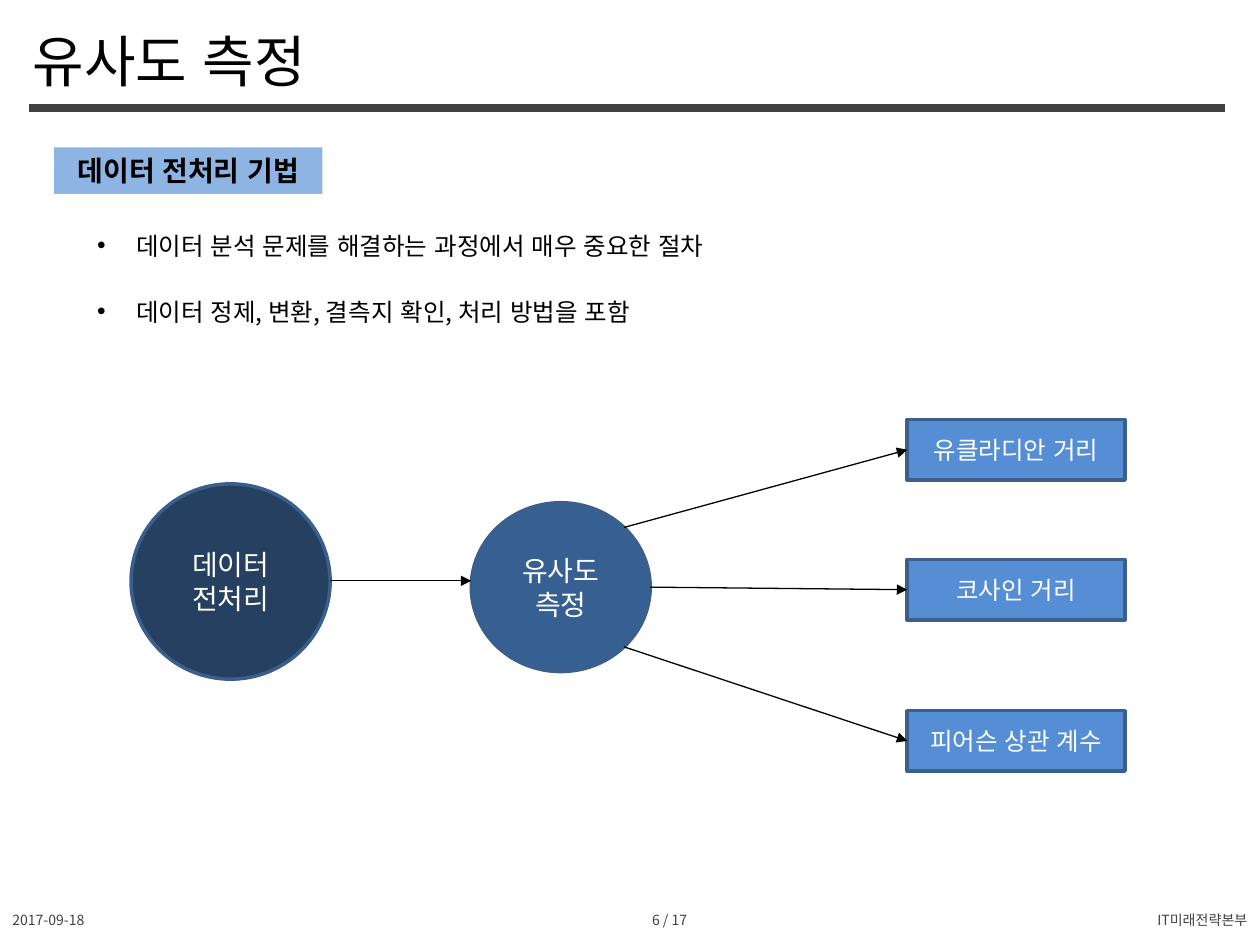
import math

import pptx
import pptx.dml.color
import pptx.enum.lang
import pptx.enum.shapes
import pptx.enum.text
import pptx.util
from lxml import etree
import pptx.oxml.ns

RGBColor = pptx.dml.color.RGBColor
Pt = pptx.util.Pt
MSO_SHAPE = pptx.enum.shapes.MSO_SHAPE
PP_ALIGN = pptx.enum.text.PP_ALIGN
MSO_ANCHOR = pptx.enum.text.MSO_ANCHOR
qn = pptx.oxml.ns.qn

FONT = "Noto Sans CJK KR"
BLACK = RGBColor(0x00, 0x00, 0x00)
WHITE = RGBColor(0xFF, 0xFF, 0xFF)
GRAY = RGBColor(0x40, 0x40, 0x40)
LIGHT_BLUE = RGBColor(0x8E, 0xB4, 0xE3)
BLUE = RGBColor(0x55, 0x8E, 0xD5)
MID_BLUE = RGBColor(0x37, 0x60, 0x92)
NAVY = RGBColor(0x25, 0x40, 0x61)
OUTLINE = RGBColor(0x3A, 0x5F, 0x8C)

EMU_PER_PX = 9144  # 100 px to the inch


def px(n):
    return pptx.util.Emu(round(n * EMU_PER_PX))


def place(sp, box):
    sp.left, sp.top, sp.width, sp.height = (px(n) for n in box)


def write(p, text, size, color, align=PP_ALIGN.LEFT, bold=False):
    p.alignment = align
    r = p.add_run()
    r.text = text
    font = r.font
    font.size = Pt(size)
    font.bold = bold
    font.color.rgb = color
    font.name = FONT
    font.language_id = pptx.enum.lang.MSO_LANGUAGE_ID.KOREAN
    etree.SubElement(r._r.rPr, qn("a:ea")).set("typeface", FONT)


def set_frame(tf, anchor):
    tf.word_wrap = True
    tf.auto_size = pptx.enum.text.MSO_AUTO_SIZE.NONE
    tf.vertical_anchor = anchor


def add_node(s, shape, box, text, size, fill, color=WHITE, line=OUTLINE, bold=False):
    sp = s.shapes.add_shape(shape, *(px(n) for n in box))
    sp.shadow.inherit = False
    sp.fill.solid()
    sp.fill.fore_color.rgb = fill
    if line is None:
        sp.line.fill.background()
    else:
        sp.line.color.rgb = line
        sp.line.width = Pt(2)
    set_frame(sp.text_frame, MSO_ANCHOR.MIDDLE)
    write(sp.text_frame.paragraphs[0], text, size, color, PP_ALIGN.CENTER, bold)
    return sp


def add_line(s, start, end, color, width, arrow=False):
    cx = s.shapes.add_connector(
        pptx.enum.shapes.MSO_CONNECTOR.STRAIGHT, *(px(n) for n in (*start, *end)))
    cx.line.color.rgb = color
    cx.line.width = Pt(width)
    if arrow:
        etree.SubElement(cx.line._get_or_add_ln(), qn("a:tailEnd")).set("type", "triangle")
    etree.SubElement(cx._element.spPr, qn("a:effectLst"))
    return cx


def build_header(s, box):
    x, y, w, h = box
    title = s.shapes.title
    place(title, (x - 7, y, 492, 64))
    set_frame(title.text_frame, MSO_ANCHOR.TOP)
    write(title.text_frame.paragraphs[0], "유사도 측정", 32, BLACK)
    add_line(s, (x, y + h), (x + w, y + h), GRAY, 4.5)


def build_summary(s, box):
    x, y, w, h = box
    # Section label
    add_node(s, MSO_SHAPE.RECTANGLE, (x, y, 213, 37), "데이터 전처리 기법", 16,
             LIGHT_BLUE, BLACK, None, True)
    # Bullet list
    body = s.placeholders[1]
    place(body, (x + 24, y + 61, w - 24, h - 61))
    tf = body.text_frame
    set_frame(tf, MSO_ANCHOR.TOP)
    bullets = ["데이터 분석 문제를 해결하는 과정에서 매우 중요한 절차",
               "데이터 정제, 변환, 결측지 확인, 처리 방법을 포함"]
    for i, text in enumerate(bullets):
        p = tf.add_paragraph() if i else tf.paragraphs[0]
        pPr = p._p.get_or_add_pPr()
        pPr.set("marL", str(px(31)))
        pPr.set("indent", str(px(-31)))
        etree.SubElement(pPr, qn("a:buFont")).set("typeface", "Arial")
        etree.SubElement(pPr, qn("a:buChar")).set("char", "•")
        p.space_before = Pt(21 if i else 0)
        write(p, text, 14, BLACK)


def build_diagram(s, box):
    x, y, w, h = box
    # Circles
    add_node(s, MSO_SHAPE.OVAL, (x, y + 51, 158, 155), "데이터 전처리", 16, NAVY)
    left, top, cw, ch = x + 270, y + 66, 142, 134
    add_node(s, MSO_SHAPE.OVAL, (left, top, cw, ch), "유사도 측정", 16, MID_BLUE)
    add_line(s, (x + 158, y + 128), (left, y + 128), BLACK, 0.75, True)

    # Measures, each reached from the right half of the second circle
    measures = [("유클라디안 거리", 0, -45), ("코사인 거리", 111, 0),
                ("피어슨 상관 계수", 231, 45)]
    for text, dy, angle in measures:
        a = math.radians(angle)
        start = (left + cw / 2 * (1 + math.cos(a)), top + ch / 2 * (1 + math.sin(a)))
        rect = (x + w - 173, y + dy, 173, 48)
        sp = add_node(s, MSO_SHAPE.RECTANGLE, rect, text, 14, BLUE)
        cx = add_line(s, start, (rect[0], rect[1] + 24), BLACK, 0.75, True)
        cx.end_connect(sp, 1)


def build_footer(s, box):
    x, y, w, h = box
    parts = [("2017-09-18", 0, 233, PP_ALIGN.LEFT),
             ("6 / 17", 415, 233, PP_ALIGN.CENTER),
             ("IT미래전략본부", w - 317, 317, PP_ALIGN.RIGHT)]
    for text, dx, width, align in parts:
        tb = s.shapes.add_textbox(px(x + dx), px(y), px(width), px(h))
        set_frame(tb.text_frame, MSO_ANCHOR.MIDDLE)
        write(tb.text_frame.paragraphs[0], text, 8, GRAY, align)


def main():
    prs = pptx.Presentation()
    prs.slide_width, prs.slide_height = px(1000), px(750)
    s = prs.slides.add_slide(prs.slide_layouts[1])
    build_header(s, (23, 16, 949, 70))
    build_summary(s, (43, 117, 898, 152))
    build_diagram(s, (104, 333, 789, 279))
    build_footer(s, (0, 710, 1000, 40))
    prs.save("out.pptx")


if __name__ == "__main__":
    main()
